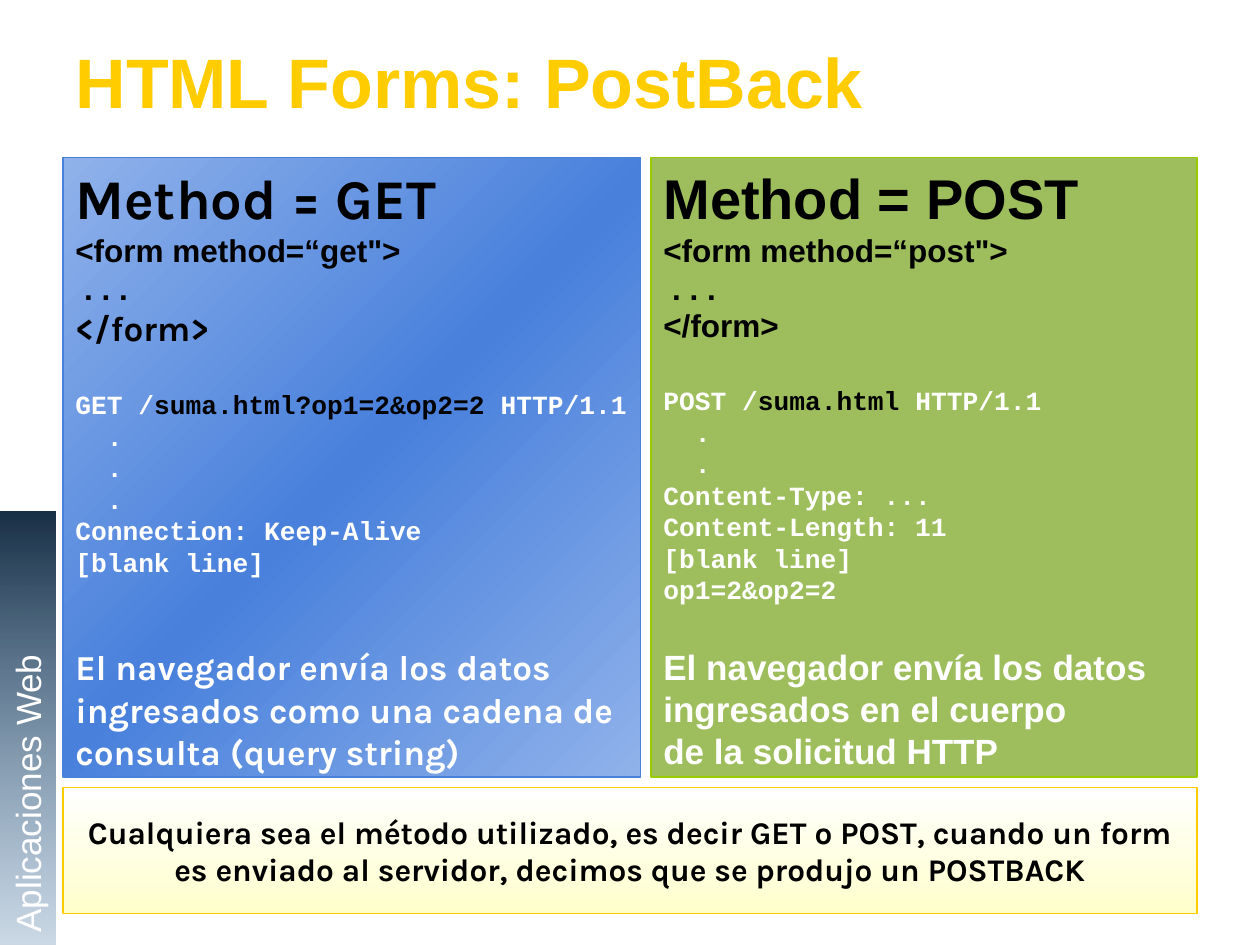
from lxml import etree
from pptx import Presentation
from pptx.dml.color import RGBColor
from pptx.enum.shapes import MSO_SHAPE
from pptx.enum.text import MSO_ANCHOR, MSO_AUTO_SIZE, PP_ALIGN
from pptx.oxml.ns import qn
from pptx.util import Emu, Pt

RECT = MSO_SHAPE.RECTANGLE
TOP, MIDDLE = MSO_ANCHOR.TOP, MSO_ANCHOR.MIDDLE
LEFT, CENTER = PP_ALIGN.LEFT, PP_ALIGN.CENTER
NO_AUTOFIT = MSO_AUTO_SIZE.NONE

BLACK = RGBColor(0x00, 0x00, 0x00)
WHITE = RGBColor(0xFF, 0xFF, 0xFF)
GOLD = RGBColor(0xFF, 0xCC, 0x00)
CREAM = RGBColor(0xFF, 0xFF, 0xCC)
NAVY = RGBColor(0x18, 0x30, 0x46)
STEEL = RGBColor(0x34, 0x68, 0x98)
BLUE = RGBColor(0x48, 0x80, 0xDC)
PALE_BLUE = RGBColor(0x90, 0xB2, 0xEA)
GREEN = RGBColor(0x9E, 0xBE, 0x5D)
LIME = RGBColor(0x99, 0xCC, 0x00)

ARIAL, COURIER, KARLA = "Arial", "Courier New", "Karla"
DOT_INDENT = 24  # two code characters
GAP = 23         # points left free between the parts of a panel


def px(n):
    return Emu(n * 9525)


def place(sp, x, y, w, h):
    sp.left, sp.top, sp.width, sp.height = px(x), px(y), px(w), px(h)


def add_run(p, text, font, size, color, bold=True):
    r = p.add_run()
    r.text = text
    r.font.name, r.font.size, r.font.bold = font, Pt(size), bold
    r.font.color.rgb = color
    return r


def add_text_shadow(r):
    effects = etree.Element(qn("a:effectLst"))
    shadow = etree.SubElement(effects, qn("a:outerShdw"), dist="35921", dir="2700000")
    etree.SubElement(shadow, qn("a:srgbClr"), val=str(BLACK))
    r.font.fill  # the effect list follows the fill
    r._r.rPr.find(qn("a:solidFill")).addnext(effects)


def gradient(sp, stops, angle):
    """Stops are (percent, colour, opacity percent); the angle ignores rotation."""
    sp.fill.background()
    fill = etree.Element(qn("a:gradFill"), rotWithShape="0")
    stop_list = etree.SubElement(fill, qn("a:gsLst"))
    for pos, color, opacity in stops:
        gs = etree.SubElement(stop_list, qn("a:gs"), pos=str(pos * 1000))
        clr = etree.SubElement(gs, qn("a:srgbClr"), val=str(color))
        if opacity < 100:
            etree.SubElement(clr, qn("a:alpha"), val=str(opacity * 1000))
    etree.SubElement(fill, qn("a:lin"), ang=str(angle * 60000), scaled="0")
    no_fill = sp._element.spPr.find(qn("a:noFill"))
    no_fill.getparent().replace(no_fill, fill)


def add_box(slide, x, y, w, h, line=None, line_width=1, anchor=TOP):
    sp = slide.shapes.add_shape(RECT, px(x), px(y), px(w), px(h))
    sp.shadow.inherit = False
    if line is None:
        sp.line.fill.background()
    else:
        sp.line.color.rgb = line
        sp.line.width = Pt(line_width)
    tf = sp.text_frame
    tf.word_wrap = True
    tf.vertical_anchor = anchor
    return sp


def add_lines(tf, lines):
    """Each line is (runs, font, size, space before, indent)."""
    for i, (runs, font, size, before, indent) in enumerate(lines):
        p = tf.paragraphs[0] if i == 0 else tf.add_paragraph()
        p.alignment = LEFT
        p.space_before = Pt(before)
        if indent:
            p._p.get_or_add_pPr().set("marL", str(px(indent)))
        for text, color in runs:
            add_run(p, text, font, size, color)


def line(text, font, size, color=BLACK, before=0, indent=0):
    return [(text, color)], font, size, before, indent


def code(*texts):
    return [line(t, COURIER, 15, WHITE, indent=DOT_INDENT if t == "." else 0)
            for t in texts]


def request(verb, target):
    runs = [(verb + " /", WHITE), (target, BLACK), (" HTTP/1.1", WHITE)]
    return runs, COURIER, 15, GAP, 0


def form(method, font, close_size):
    return [line("Method = " + method.upper(), font, 32),
            line(f'<form method=“{method}">', ARIAL, 18),
            line(" . . .", ARIAL, 18),
            line("</form>", font, close_size)]


def explanation(font, before, *texts):
    return [line(t, font, 20, WHITE, 0 if i else before) for i, t in enumerate(texts)]


def add_title(slide):
    title = slide.shapes.title
    place(title, 48, 20, 900, 82)
    tf = title.text_frame
    tf.auto_size = NO_AUTOFIT
    tf.vertical_anchor = MIDDLE
    p = tf.paragraphs[0]
    p.alignment = LEFT
    add_text_shadow(add_run(p, "HTML Forms: PostBack", ARIAL, 40, GOLD))


def add_sidebar(slide):
    sp = add_box(slide, -144, 534, 330, 42)
    sp.rotation = 270
    gradient(sp, [(0, NAVY, 100), (100, STEEL, 25)], 90)
    p = sp.text_frame.paragraphs[0]
    p.alignment = LEFT
    add_run(p, "Aplicaciones Web", ARIAL, 20, WHITE, bold=False)


def add_get_panel(slide):
    sp = add_box(slide, 48, 120, 440, 472, BLUE)
    gradient(sp, [(0, PALE_BLUE, 100), (50, BLUE, 100), (100, PALE_BLUE, 100)], 45)
    add_lines(sp.text_frame, [
        *form("get", KARLA, 20),
        request("GET", "suma.html?op1=2&op2=2"),
        *code(".", ".", ".", "Connection: Keep-Alive", "[blank line]"),
        *explanation(KARLA, GAP + 16, "El navegador envía los datos",
                     "ingresados como una cadena de consulta (query string)"),
    ])


def add_post_panel(slide):
    sp = add_box(slide, 496, 120, 416, 472, LIME)
    sp.fill.solid()
    sp.fill.fore_color.rgb = GREEN
    add_lines(sp.text_frame, [
        *form("post", ARIAL, 18),
        request("POST", "suma.html"),
        *code(".", ".", "Content-Type: ...", "Content-Length: 11",
              "[blank line]", "op1=2&op2=2"),
        *explanation(ARIAL, GAP, "El navegador envía los datos",
                     "ingresados en el cuerpo", "de la solicitud HTTP"),
    ])


def add_conclusion(slide):
    sp = add_box(slide, 48, 600, 864, 96, GOLD, 0.75, MIDDLE)
    gradient(sp, [(0, WHITE, 100), (100, CREAM, 100)], 90)
    p = sp.text_frame.paragraphs[0]
    p.alignment = CENTER
    add_run(p, "Cualquiera sea el método utilizado, es decir GET o POST, cuando un form "
               "es enviado al servidor, decimos que se produjo un POSTBACK",
            KARLA, 18, BLACK)


def main():
    prs = Presentation()
    prs.slide_width, prs.slide_height = px(960), px(720)
    slide = prs.slides.add_slide(prs.slide_layouts[5])  # title only
    add_title(slide)
    add_sidebar(slide)
    # The two methods side by side, with the conclusion below
    add_get_panel(slide)
    add_post_panel(slide)
    add_conclusion(slide)
    prs.save("out.pptx")


if __name__ == "__main__":
    main()
